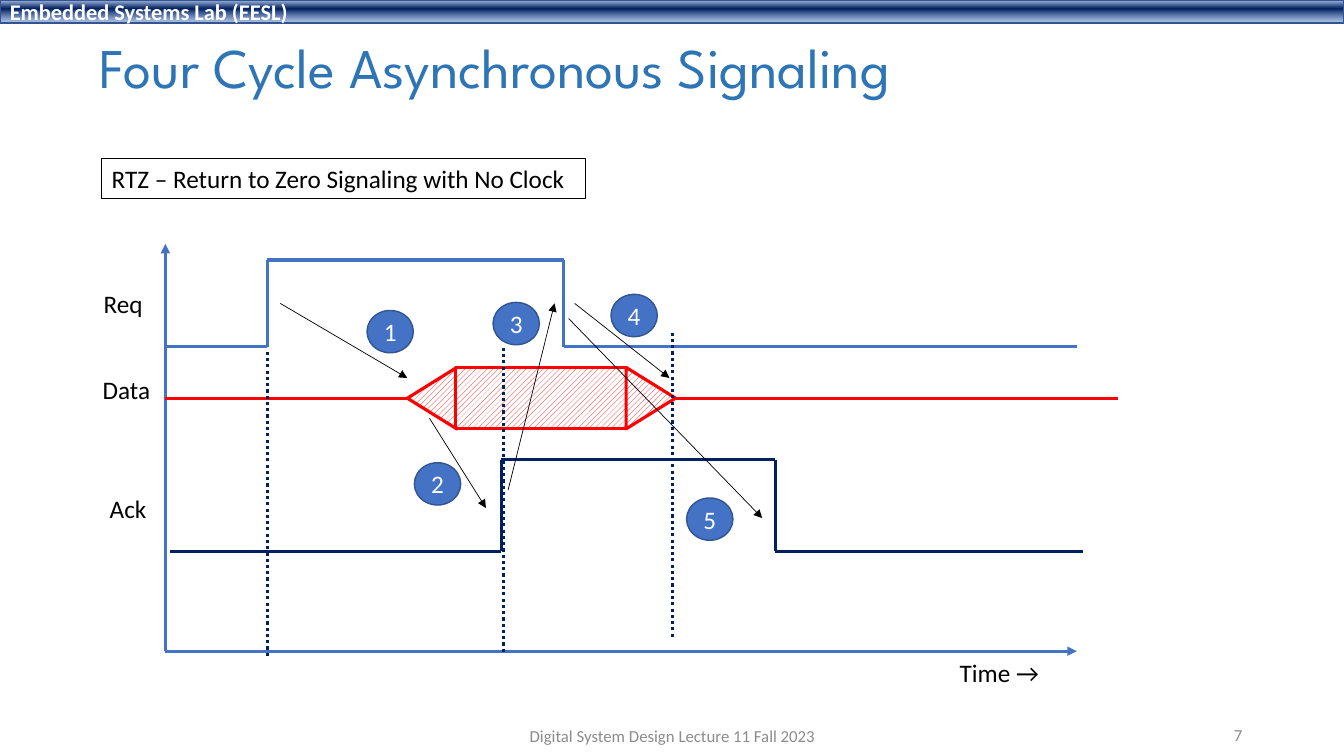
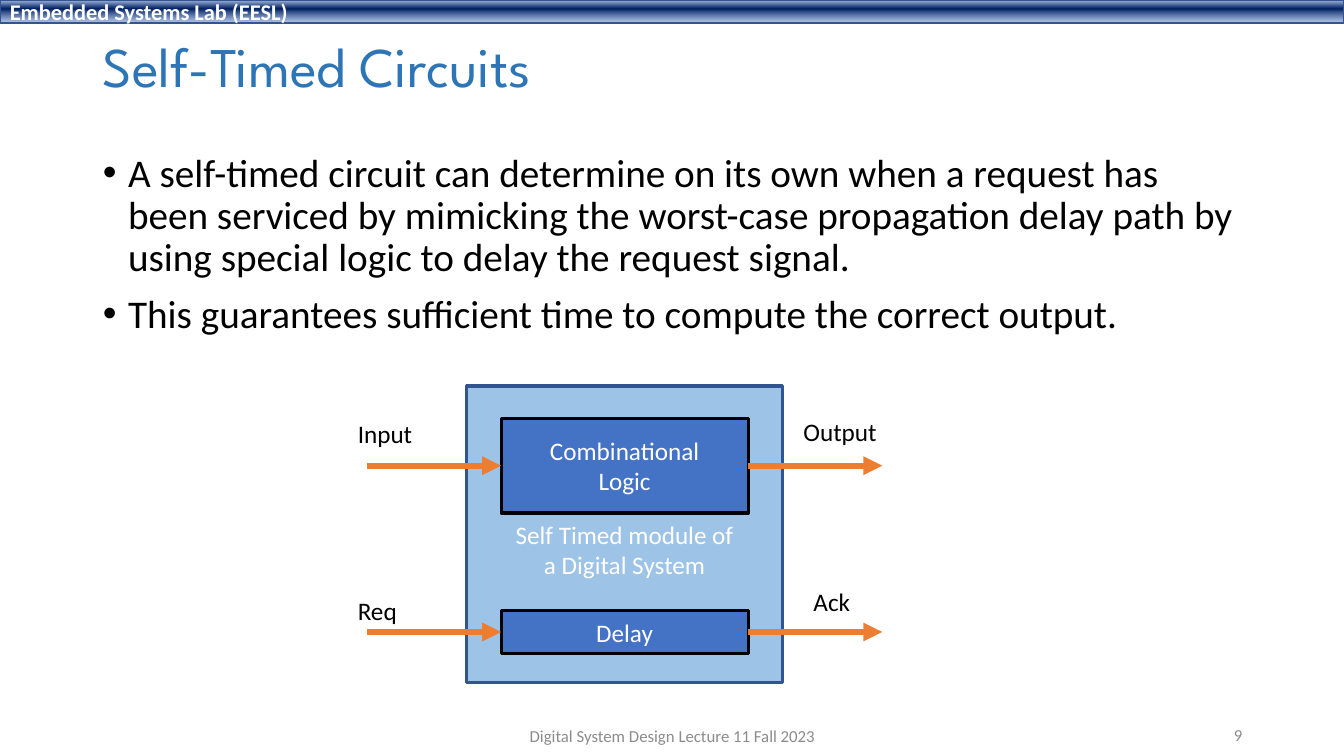
import itertools

import pptx
import pptx.dml.color
import pptx.enum.dml
import pptx.enum.shapes
import pptx.enum.text
import pptx.oxml
import pptx.oxml.ns
import pptx.util

Inches = pptx.util.Inches
Pt = pptx.util.Pt
SHAPE = pptx.enum.shapes.MSO_SHAPE
ALIGN = pptx.enum.text.PP_ALIGN
ANCHOR = pptx.enum.text.MSO_ANCHOR

# Shared style
BODY_FONT, TITLE_FONT = "Calibri", "League Spartan"
TITLE_BLUE, BLUE, EDGE_BLUE = "2E75B6", "4472C4", "325491"
NAVY, PALE_BLUE, RED, ORANGE = "002060", "9DC3E6", "FF0000", "ED7D31"
BLACK, WHITE, GRAY = "000000", "FFFFFF", "8C8C8C"
BAND_STOPS = [(2, "ABC0E4", 100), (38, NAVY, 100), (93, "7E9ED6", 64)]
SLIDE_WIDTH, SLIDE_HEIGHT = 13.33, 7.5


def color(value):
    return pptx.dml.color.RGBColor.from_string(value)


def drawing_element(markup):
    """Parse one drawing element written with the a: prefix."""
    name, rest = markup.split(" ", 1)
    return pptx.oxml.parse_xml(f"{name} {pptx.oxml.ns.nsdecls('a')} {rest}")


def write(shape, lines, size, ink, align=ALIGN.LEFT, font=BODY_FONT,
          bold=False, anchor=ANCHOR.MIDDLE, wrap=True):
    frame = shape.text_frame
    frame.text = "\n".join(lines)
    frame.word_wrap = wrap
    frame.auto_size = pptx.enum.text.MSO_AUTO_SIZE.NONE
    frame.vertical_anchor = anchor
    for paragraph in frame.paragraphs:
        paragraph.alignment = align
        for run in paragraph.runs:
            run.font.name = font
            run.font.size = Pt(size)
            run.font.bold = bold
            run.font.color.rgb = color(ink)


def add_text(slide, box, text, size=18, ink=BLACK, **style):
    shape = slide.shapes.add_textbox(*map(Inches, box))
    write(shape, [text], size, ink, **style)
    return shape


def add_label(slide, left, top, width, text):
    add_text(slide, (left, top, width, 0.4), text, anchor=ANCHOR.TOP, wrap=False)


def add_block(slide, kind, box, fill, edge, edge_width):
    shape = slide.shapes.add_shape(kind, *map(Inches, box))
    shape.shadow.inherit = False
    shape.fill.solid()
    shape.fill.fore_color.rgb = color(fill)
    shape.line.color.rgb = color(edge)
    shape.line.width = Pt(edge_width)
    return shape


def add_line(slide, start, end, ink, width, dash=None, arrow=False):
    connector = slide.shapes.add_connector(
        pptx.enum.shapes.MSO_CONNECTOR.STRAIGHT, *map(Inches, (*start, *end)))
    connector.line.color.rgb = color(ink)
    connector.line.width = Pt(width)
    if dash:
        connector.line.dash_style = dash
    properties = connector.element.spPr
    if arrow:
        properties.get_or_add_ln().append(drawing_element('<a:tailEnd type="triangle"/>'))
    properties.append(drawing_element("<a:effectLst />"))
    return connector


def add_wave(slide, points, ink):
    for start, end in itertools.pairwise(points):
        add_line(slide, start, end, ink, 2.25)


def add_band(slide):
    band = add_block(slide, SHAPE.RECTANGLE, (0, 0, SLIDE_WIDTH, 0.23), NAVY, EDGE_BLUE, 1)
    band.fill.gradient()
    band.fill.gradient_angle = 270
    stops = band.element.spPr.find(".//" + pptx.oxml.ns.qn("a:gsLst"))
    for stop in list(stops):
        stops.remove(stop)
    for position, shade, opacity in BAND_STOPS:
        stops.append(drawing_element(
            f'<a:gs pos="{position * 1000}"><a:srgbClr val="{shade}">'
            f'<a:alpha val="{opacity * 1000}"/></a:srgbClr></a:gs>'))
    write(band, ["Embedded Systems Lab (EESL)"], 16, WHITE, bold=True)


def add_slide(presentation, layout, title, title_box, number):
    """Start a slide with its title, top band and footer."""
    slide = presentation.slides.add_slide(presentation.slide_layouts[layout])
    place(slide.shapes.title, title_box)
    write(slide.shapes.title, [title], 40, TITLE_BLUE, font=TITLE_FONT)
    slide.shapes.title.text_frame.paragraphs[0].line_spacing = 0.9
    add_band(slide)
    add_text(slide, (4.42, 7.1, 4.5, 0.4), "Digital System Design Lecture 11 Fall 2023",
             12, GRAY, align=ALIGN.CENTER)
    add_text(slide, (9.42, 7.09, 3, 0.4), number, 12, GRAY, align=ALIGN.RIGHT)
    return slide


def place(shape, box):
    shape.left, shape.top, shape.width, shape.height = map(Inches, box)


def add_data_bus(slide, left, middle):
    """Hatched valid-data region: a rectangle between two triangles."""
    height, tip, width = 0.61, 0.49, 1.69
    tip_top = middle - tip / 2
    parts = [
        (SHAPE.ISOSCELES_TRIANGLE, (left - 0.54, tip_top, height, tip), 270),
        (SHAPE.RECTANGLE, (left, middle - height / 2, width, height), 0),
        (SHAPE.ISOSCELES_TRIANGLE, (left + width - 0.06, tip_top, height, tip), 90),
    ]
    for kind, box, rotation in parts:
        shape = add_block(slide, kind, box, WHITE, RED, 2.25)
        shape.rotation = rotation
        shape.fill.patterned()
        shape.fill.pattern = pptx.enum.dml.MSO_PATTERN.WIDE_UPWARD_DIAGONAL
        shape.fill.fore_color.rgb = color(RED)
        shape.fill.back_color.rgb = color(WHITE)


def add_timing_diagram(slide, left, top, width, height):
    def at(x, y):
        return left + x, top + y

    # Axes
    origin = at(0, height)
    for end in (at(0, 0), at(width, height)):
        add_line(slide, origin, end, BLUE, 2.25, arrow=True)

    # Acknowledge, data and request waveforms
    low, high = 3.05, 2.14
    add_wave(slide, [at(0.05, low), at(3.33, low), at(3.33, high), at(6.05, high),
                     at(6.05, low), at(9.1, low)], NAVY)
    middle = 1.53
    add_wave(slide, [at(0, middle), at(2.4, middle)], RED)
    add_data_bus(slide, *at(2.88, middle))
    add_wave(slide, [at(5.06, middle), at(9.45, middle)], RED)
    low, high = 1.02, 0.16
    add_wave(slide, [at(0, low), at(1.01, low), at(1.01, high), at(3.95, high),
                     at(3.95, low), at(width, low)], BLUE)

    # Time markers
    for x, y in [(1.01, 1.07), (3.35, 1.03), (5.03, 0.88)]:
        add_line(slide, at(x, y), at(x, y + 3.04), NAVY, 2.25,
                 dash=pptx.enum.dml.MSO_LINE.ROUND_DOT)

    # Signal and axis labels
    for text, x, y, label_width in [("Time →", 7.78, 4.05, 1), ("Req", -0.71, 0.39, 0.59),
                                    ("Data", -0.72, 1.24, 0.68), ("Ack", -0.65, 2.42, 0.57)]:
        add_label(slide, *at(x, y), label_width, text)

    # Cause-and-effect arrows with numbered steps
    steps = [
        ((1.14, 0.59), (2.4, 1.33), (2, 0.66)),
        ((2.62, 1.73), (3.18, 2.62), (2.47, 2.17)),
        ((3.4, 2.44), (3.86, 0.59), (3.25, 0.58)),
        ((4.06, 0.59), (5, 1.33), (4.42, 0.5)),
        ((4, 0.74), (5.92, 2.72), (5.17, 2.52)),
    ]
    for start, end, _ in steps:
        add_line(slide, at(*start), at(*end), BLACK, 0.5, arrow=True)
    for number, (_, _, corner) in enumerate(steps, 1):
        circle = add_block(slide, SHAPE.OVAL, (*at(*corner), 0.46, 0.42), BLUE, EDGE_BLUE, 1)
        circle.text_frame.margin_left = circle.text_frame.margin_right = 0
        write(circle, [str(number)], 18, WHITE, align=ALIGN.CENTER)


def add_bullets(slide, box, lines):
    body = slide.placeholders[1]
    place(body, box)
    write(body, lines, 28, BLACK, anchor=ANCHOR.TOP)
    for index, paragraph in enumerate(body.text_frame.paragraphs):
        properties = paragraph._p.get_or_add_pPr()
        properties.set("marL", str(Inches(0.25)))
        properties.set("indent", str(-Inches(0.25)))
        properties.append(drawing_element('<a:buFont typeface="Arial"/>'))
        properties.append(drawing_element('<a:buChar char="•"/>'))
        paragraph.line_spacing = 0.9
        paragraph.space_before = Pt(10 if index else 0)


def add_self_timed_module(slide, left, top, width, height):
    module = add_block(slide, SHAPE.RECTANGLE, (left, top, width, height),
                       PALE_BLUE, EDGE_BLUE, 2.25)
    write(module, ["Self Timed module of", "a Digital System"], 18, WHITE, align=ALIGN.CENTER)
    module.text_frame.margin_top = Inches(0.35)

    # Inner blocks, each with an arrow in and an arrow out
    inner_left, inner_width, reach = left + 0.34, 2.45, 1.33
    inner_right = inner_left + inner_width
    for lines, offset, inner_height in [(["Combinational", "Logic"], 0.32, 0.94),
                                        (["Delay"], 2.23, 0.42)]:
        block = add_block(slide, SHAPE.RECTANGLE,
                          (inner_left, top + offset, inner_width, inner_height),
                          BLUE, BLACK, 2.25)
        write(block, lines, 18, WHITE, align=ALIGN.CENTER)
        middle = top + offset + inner_height / 2
        incoming = add_line(slide, (inner_left - reach, middle), (inner_left, middle),
                            ORANGE, 4.5, arrow=True)
        incoming.end_connect(block, 1)
        outgoing = add_line(slide, (inner_right, middle), (inner_right + reach, middle),
                            ORANGE, 4.5, arrow=True)
        outgoing.begin_connect(block, 3)

    # Signal names
    for text, x, y, label_width in [("Input", -1.18, 0.27, 0.75), ("Req", -1.18, 2.03, 0.59),
                                    ("Output", 3.24, 0.25, 0.94), ("Ack", 3.34, 1.94, 0.57)]:
        add_label(slide, left + x, top + y, label_width, text)


def build_signaling_slide(presentation):
    slide = add_slide(presentation, 5, "Four Cycle Asynchronous Signaling",
                      (0.89, 0.19, 11.5, 1.02), "7")
    caption = add_block(slide, SHAPE.RECTANGLE, (1.01, 1.57, 4.8, 0.4), WHITE, BLACK, 1)
    write(caption, ["RTZ – Return to Zero Signaling with No Clock"], 18, BLACK,
          anchor=ANCHOR.TOP)
    add_timing_diagram(slide, 1.64, 2.42, 9.04, 4.04)


def build_self_timed_slide(presentation):
    slide = add_slide(presentation, 1, "Self-Timed Circuits", (0.92, 0.3, 11.5, 0.77), "9")
    add_bullets(slide, (0.92, 1.47, 11.5, 2.02), [
        "A self-timed circuit can determine on its own when a request has been serviced "
        "by mimicking the worst-case propagation delay path by using special logic to "
        "delay the request signal.",
        "This guarantees sufficient time to compute the correct output.",
    ])
    add_self_timed_module(slide, 4.63, 3.83, 3.13, 2.94)


def main():
    presentation = pptx.Presentation()
    presentation.slide_width = Inches(SLIDE_WIDTH)
    presentation.slide_height = Inches(SLIDE_HEIGHT)
    build_signaling_slide(presentation)
    build_self_timed_slide(presentation)
    presentation.save("out.pptx")


if __name__ == "__main__":
    main()
